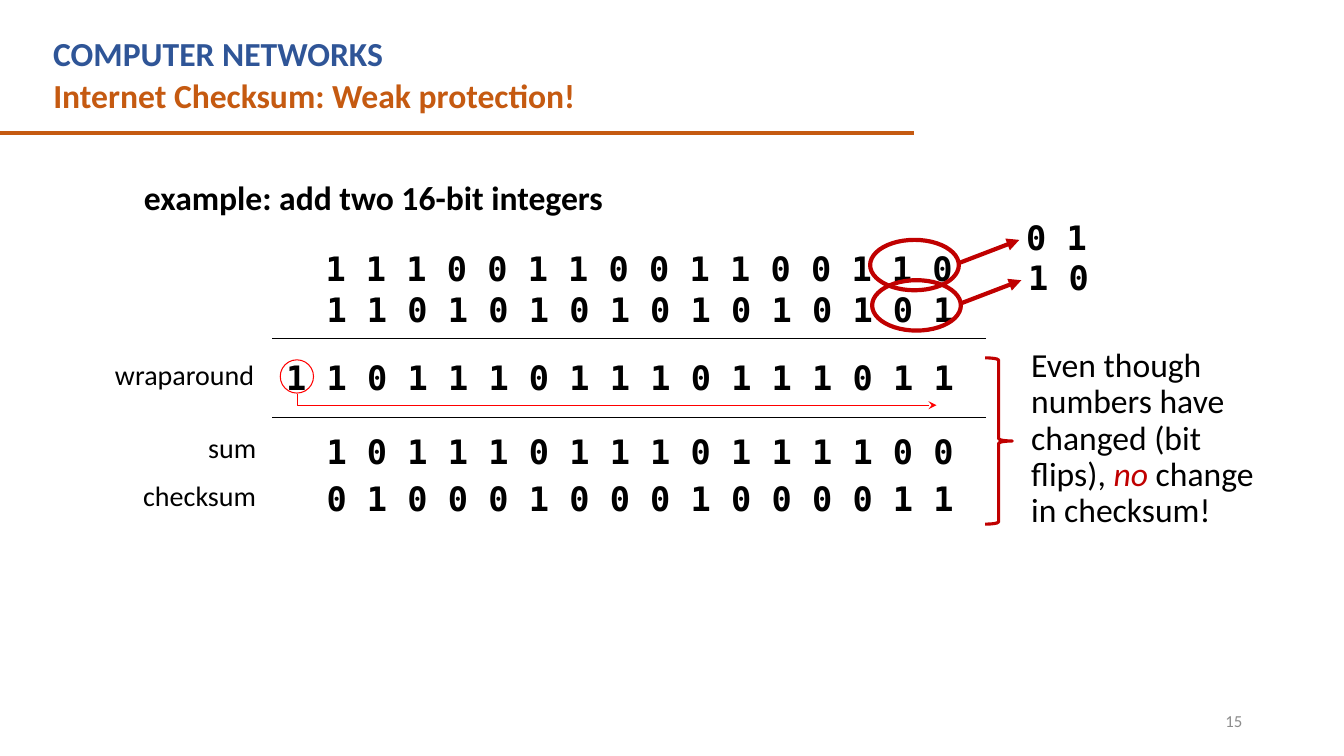
from dataclasses import dataclass

from lxml.etree import SubElement
from pptx import Presentation
from pptx.dml.color import RGBColor
from pptx.enum.shapes import MSO_CONNECTOR, MSO_SHAPE
from pptx.enum.text import MSO_ANCHOR, PP_ALIGN
from pptx.oxml.ns import qn
from pptx.util import Inches, Pt

BLACK, BLUE, ORANGE = "000000", "2F5597", "C55A11"
RED, BRIGHT_RED, GREY = "C00000", "FF0000", "8C8C8C"
BODY, MONO = "Calibri", "DejaVu Sans Mono"


@dataclass
class Label:
    text: str
    left: float
    top: float
    width: float
    height: float = 0.5
    size: int = 24
    color: str = BLACK
    bold: bool = False
    font: str = BODY
    align: PP_ALIGN = PP_ALIGN.LEFT
    anchor: MSO_ANCHOR = MSO_ANCHOR.TOP
    wrap: bool = True
    spacing: float = 1.0


@dataclass
class BitRow:
    bits: str
    left: float
    top: float
    width: float = 6.45


@dataclass
class Rule:
    start: tuple[float, float]
    end: tuple[float, float]
    color: str
    weight: float
    head: str = ""


@dataclass
class Outline:
    kind: MSO_SHAPE
    left: float
    top: float
    width: float
    height: float
    color: str
    weight: float


def rgb(color: str) -> RGBColor:
    return RGBColor.from_string(color)


def style_line(shape, color: str, weight: float, head: str = "") -> None:
    shape.line.color.rgb = rgb(color)
    shape.line.width = Pt(weight)
    if head:
        SubElement(shape.line._get_or_add_ln(), qn("a:tailEnd"), type=head)


def draw_label(slide, label: Label):
    box = slide.shapes.add_textbox(Inches(label.left), Inches(label.top),
                                   Inches(label.width), Inches(label.height))
    frame = box.text_frame
    frame.text = label.text
    frame.word_wrap = label.wrap
    frame.vertical_anchor = label.anchor
    paragraph = frame.paragraphs[0]
    paragraph.alignment = label.align
    paragraph.line_spacing = label.spacing
    for run in paragraph.runs:
        run.font.name = label.font
        run.font.size = Pt(label.size)
        run.font.bold = label.bold
        run.font.color.rgb = rgb(label.color)
    return paragraph


def draw_bits(slide, row: BitRow) -> None:
    draw_label(slide, Label(" ".join(row.bits), row.left, row.top, row.width,
                            bold=True, font=MONO, wrap=False))


def draw_rule(slide, rule: Rule) -> None:
    ends = [Inches(value) for value in (*rule.start, *rule.end)]
    connector = slide.shapes.add_connector(MSO_CONNECTOR.STRAIGHT, *ends)
    style_line(connector, rule.color, rule.weight, rule.head)
    SubElement(connector._element.spPr, qn("a:effectLst"))


def draw_outline(slide, outline: Outline) -> None:
    shape = slide.shapes.add_shape(
        outline.kind, Inches(outline.left), Inches(outline.top),
        Inches(outline.width), Inches(outline.height))
    shape.shadow.inherit = False
    shape.fill.background()
    style_line(shape, outline.color, outline.weight)


def draw_carry_path(slide) -> None:
    builder = slide.shapes.build_freeform(Inches(2.95), Inches(3.91))
    builder.add_line_segments([(Inches(2.95), Inches(4.02)),
                               (Inches(9.29), Inches(4.02))], close=False)
    carry = builder.convert_to_shape()
    carry.shadow.inherit = False
    carry.fill.background()
    style_line(carry, BRIGHT_RED, 0.75, "stealth")


def draw_remark(slide) -> None:
    paragraph = draw_label(slide, Label(
        "Even though numbers have changed (bit flips), ",
        10.13, 3.41, 2.63, 1.92, spacing=0.9))
    for text, color, italic in (("no", RED, True),
                                (" change in checksum!", BLACK, False)):
        run = paragraph.add_run()
        run.text = text
        run.font.name = BODY
        run.font.size = Pt(24)
        run.font.italic = italic
        run.font.color.rgb = rgb(color)


LABELS = [
    Label("Internet Checksum: Weak protection!", 0.43, 0.69, 8.75,
          color=ORANGE, bold=True),
    Label("COMPUTER NETWORKS", 0.43, 0.28, 8.2, color=BLUE, bold=True),
    Label("example: add two 16-bit integers", 1.33, 1.59, 8.5, 3,
          bold=True, spacing=1.3),
    Label("15", 9.42, 6.95, 3, 0.4, 12, GREY,
          align=PP_ALIGN.RIGHT, anchor=MSO_ANCHOR.MIDDLE),
]
ROW_LABELS = [("wraparound", 1.03, 3.5, 1.59), ("sum", 1.94, 4.22, 0.7),
              ("checksum", 1.3, 4.7, 1.34)]
BIT_ROWS = [
    BitRow("1110011001100110", 3.13, 2.41),
    BitRow("1101010101010101", 3.14, 2.82),
    BitRow("11011101110111011", 2.74, 3.49, 6.85),
    BitRow("1011101110111100", 3.14, 4.23),
    BitRow("0100010001000011", 3.14, 4.69),
]
RULES = [
    Rule((-0.01, 1.32), (9.07, 1.32), ORANGE, 3),
    Rule((9.78, 3.36), (2.7, 3.36), BLACK, 1),
    Rule((9.78, 4.14), (2.7, 4.14), BLACK, 1),
]
# Flipped bits with the left and top of the ellipse around the old ones
BIT_FLIPS = [("01", 8.63, 2.38), ("10", 8.65, 2.78)]


def main() -> None:
    presentation = Presentation()
    presentation.slide_width = Inches(13.33)
    presentation.slide_height = Inches(7.5)
    slide = presentation.slides.add_slide(presentation.slide_layouts[6])

    # Headings, slide number and rules
    for label in LABELS:
        draw_label(slide, label)
    for rule in RULES:
        draw_rule(slide, rule)

    # Addition
    for text, left, top, width in ROW_LABELS:
        draw_label(slide, Label(text, left, top, width, 0.44, 20,
                                align=PP_ALIGN.RIGHT, wrap=False))
    for row in BIT_ROWS:
        draw_bits(slide, row)

    # Wrapped carry bit
    draw_outline(slide, Outline(MSO_SHAPE.OVAL, 2.78, 3.57, 0.33, 0.33,
                                BRIGHT_RED, 0.75))
    draw_carry_path(slide)

    # Bit flips
    for bits, left, top in BIT_FLIPS:
        draw_outline(slide, Outline(MSO_SHAPE.OVAL, left, top, 0.88, 0.5, RED, 3))
        draw_rule(slide, Rule((left + 0.88, top + 0.23), (left + 1.48, top),
                              RED, 3, "triangle"))
        draw_bits(slide, BitRow(bits, left + 1.45, top - 0.28, 1))

    # Conclusion
    draw_outline(slide, Outline(MSO_SHAPE.RIGHT_BRACE, 9.77, 3.55, 0.27, 1.65,
                                RED, 2.25))
    draw_remark(slide)

    presentation.save("out.pptx")


if __name__ == "__main__":
    main()
